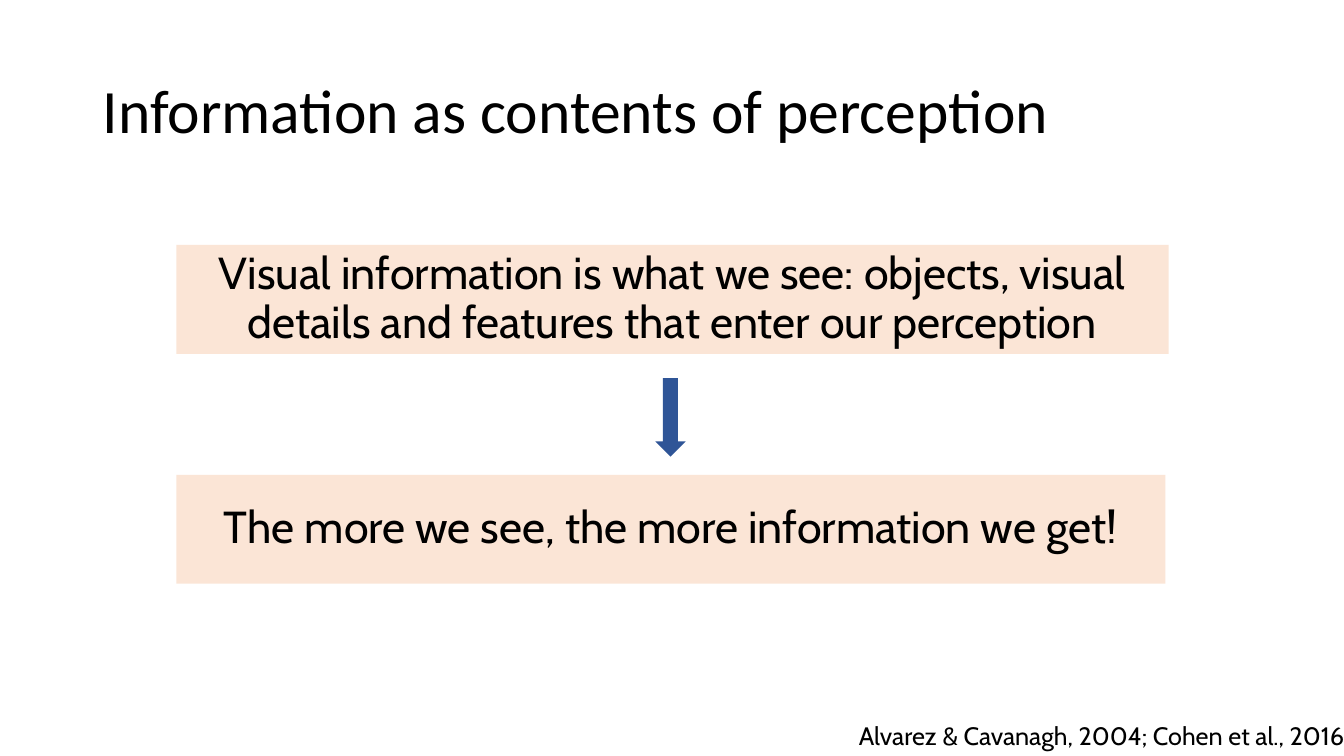
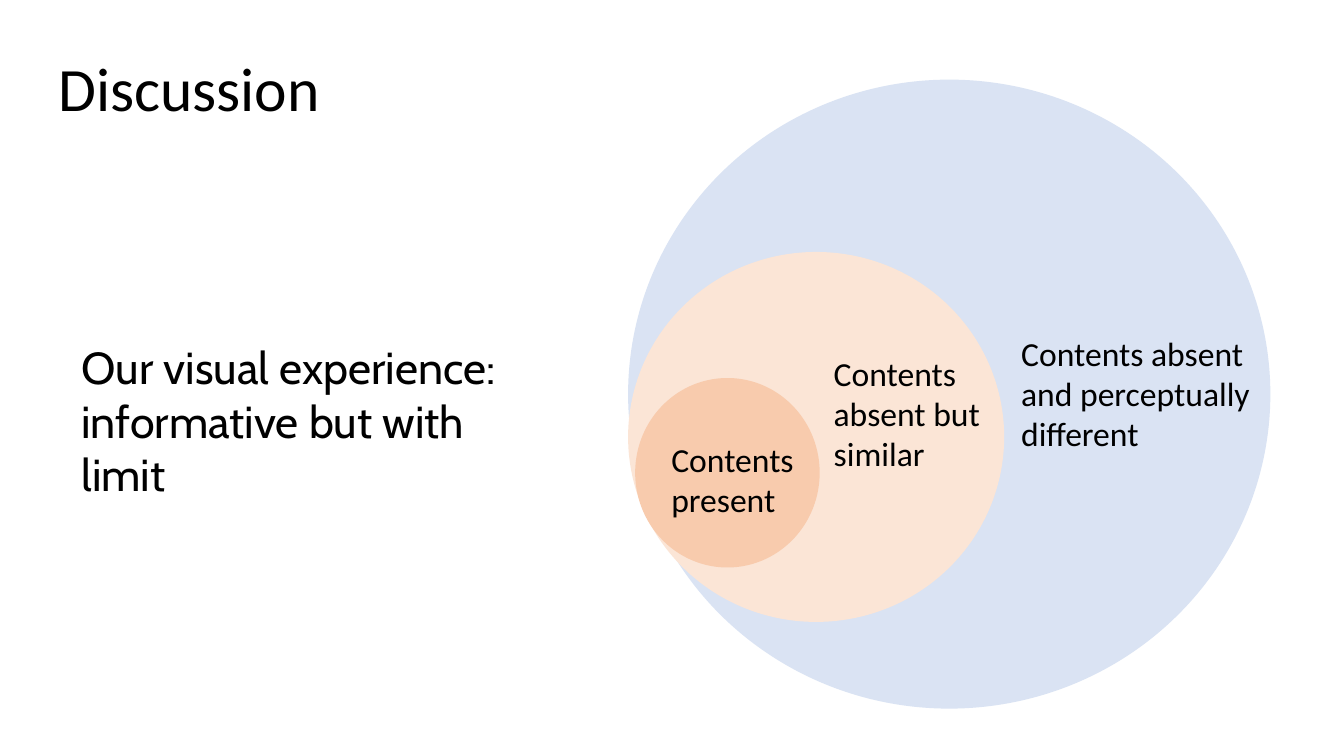
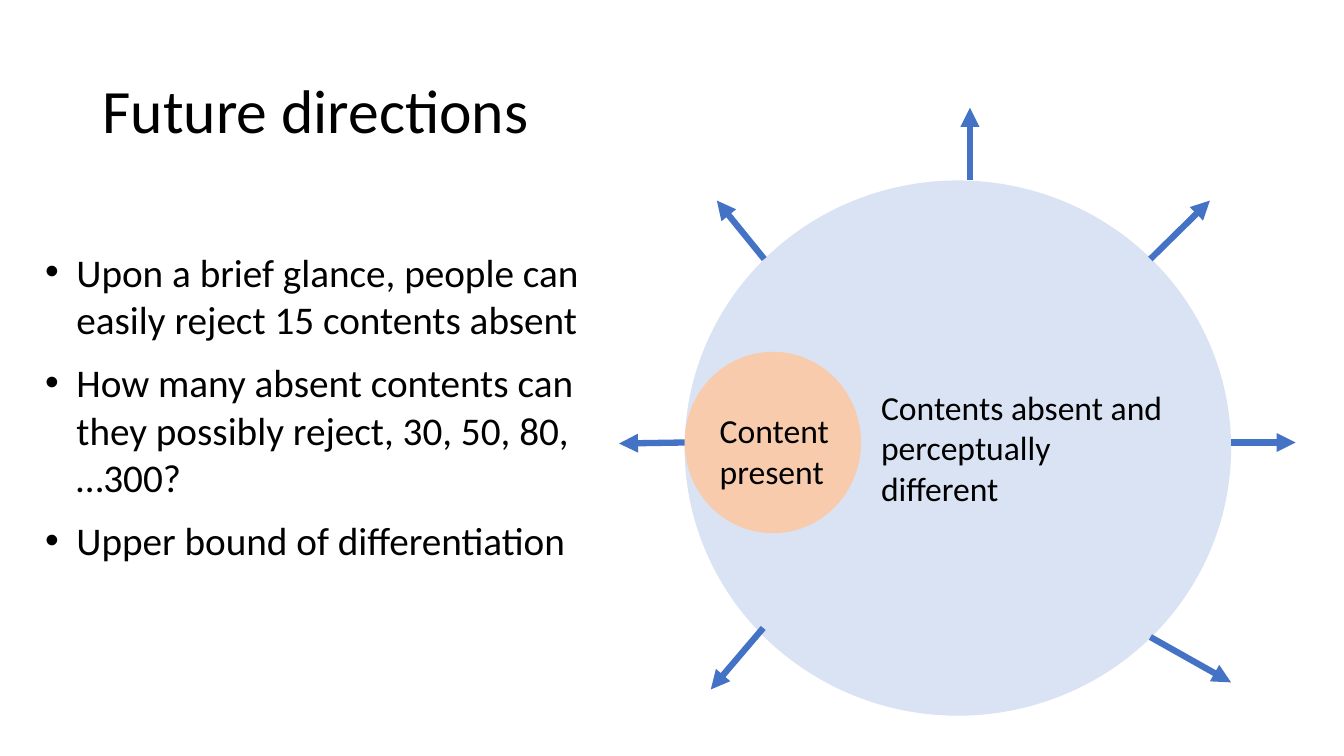
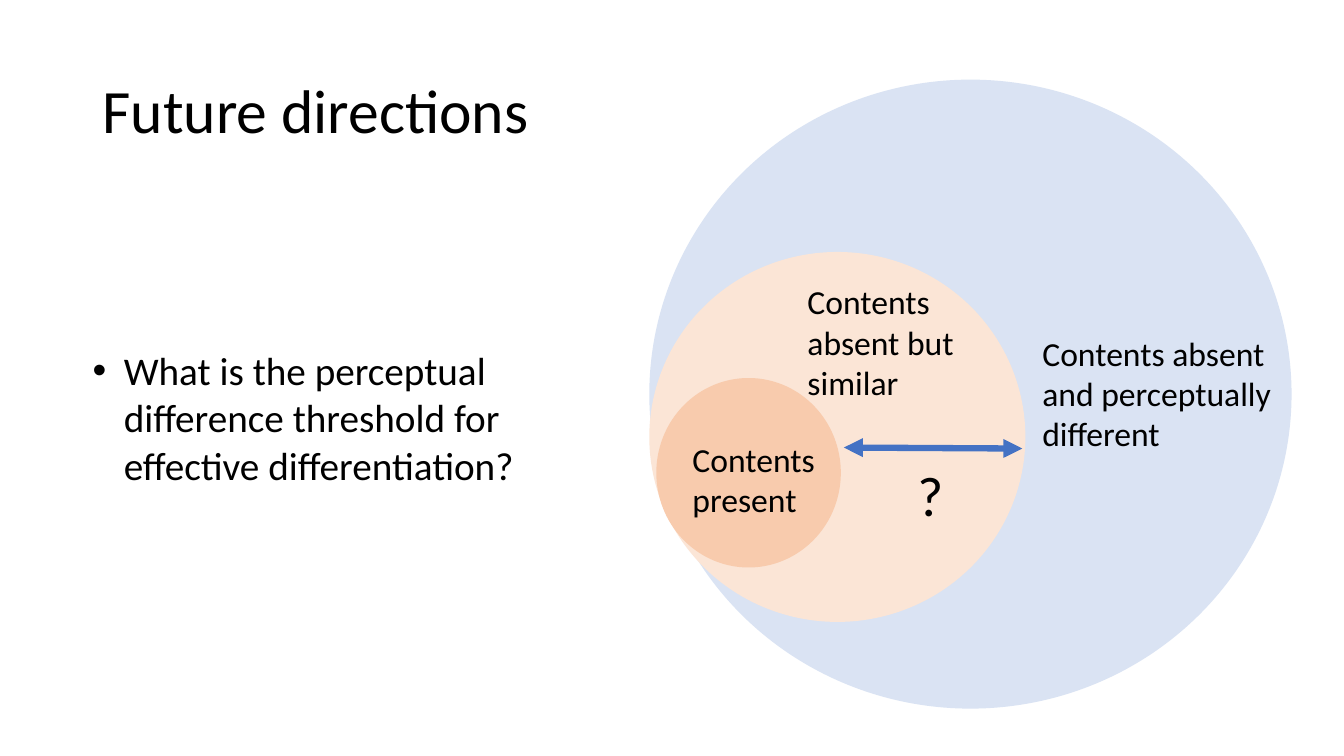
from lxml import etree
from pptx import Presentation
from pptx.dml.color import RGBColor
from pptx.enum import shapes, text
from pptx.oxml.ns import qn
from pptx.util import Inches, Pt

BLACK = RGBColor(0x00, 0x00, 0x00)
ARROW_BLUE = RGBColor(0x44, 0x72, 0xC4)
DARK_BLUE = RGBColor(0x2F, 0x55, 0x97)
PALE_BLUE = RGBColor(0xDA, 0xE3, 0xF3)
PALE_PEACH = RGBColor(0xFB, 0xE5, 0xD6)
PEACH = RGBColor(0xF8, 0xCB, 0xAD)

BODY_FONT = "Calibri"
ACCENT_FONT = "Cabin"
TITLE_AT = (0.92, 0.4, 11.5, 1.45)

PANELS = [
    ("Visual information is what we see: objects, visual details and features "
     "that enter our perception", (1.75, 2.43, 9.84, 1.08)),
    ("The more we see, the more information we get!", (1.75, 4.71, 9.81, 1.08)),
]
CITATION = "Alvarez & Cavanagh, 2004; Cohen et al., 2016"

DIFFERENT = "Contents absent and perceptually different"
SIMILAR = "Contents absent but similar"
PRESENT = "Contents present"
VENN_CIRCLES = [
    (PALE_BLUE, (6.23, 0.79, 6.37, 6.24)),
    (PALE_PEACH, (6.23, 2.5, 3.73, 3.67)),
    (PEACH, (6.3, 3.75, 1.83, 1.88)),
]
VENN_LABELS = [
    (DIFFERENT, (10.03, 3.25, 2.97, 1.31)),
    (PRESENT, (6.56, 4.3, 1.43, 0.91)),
]

GROWTH_CIRCLES = [
    (PALE_BLUE, (6.79, 1.79, 5.42, 5.31)),
    (PEACH, (6.79, 3.49, 1.75, 1.8)),
]
GROWTH_LABELS = [
    (DIFFERENT, (8.64, 3.79, 3.09, 0.77)),
    ("Content present", (7.04, 4.02, 1.36, 0.91)),
]
GROWTH_ARROWS = [
    ((9.62, 1.79), (9.62, 1.07)),
    ((11.41, 2.57), (12, 1.99)),
    ((12.21, 4.39), (12.85, 4.39)),
    ((11.41, 6.32), (12.21, 6.77)),
    ((7.58, 2.57), (7.11, 1.99)),
    ((6.79, 4.39), (6.14, 4.4)),
    ((7.57, 6.23), (7.05, 6.84)),
]
GROWTH_POINTS = [
    "Upon a brief glance, people can easily reject 15 contents absent",
    "How many absent contents can they possibly reject, 30, 50, 80, …300?",
    "Upper bound of differentiation",
]
THRESHOLD_POINTS = [
    "What is the perceptual difference threshold for effective differentiation?",
]


def inches(box):
    return [Inches(v) for v in box]


def add_run(p, content, size, font):
    r = p.add_run()
    r.text = content
    r.font.size = Pt(size)
    r.font.name = font
    r.font.color.rgb = BLACK


def add_text(s, content, box, size=24, font=BODY_FONT):
    tf = s.shapes.add_textbox(*inches(box)).text_frame
    tf.word_wrap = True
    add_run(tf.paragraphs[0], content, size, font)
    return tf


def add_filled(s, kind, box, color):
    sp = s.shapes.add_shape(kind, *inches(box))
    sp.shadow.inherit = False
    sp.fill.solid()
    sp.fill.fore_color.rgb = color
    sp.line.fill.background()
    return sp


def add_panel(s, content, box):
    tf = add_filled(s, shapes.MSO_SHAPE.RECTANGLE, box, PALE_PEACH).text_frame
    tf.word_wrap = True
    tf.vertical_anchor = text.MSO_ANCHOR.MIDDLE
    p = tf.paragraphs[0]
    p.alignment = text.PP_ALIGN.CENTER
    p.line_spacing = 0.9
    add_run(p, content, 32, ACCENT_FONT)


def add_arrow(s, start, end, ends=("tailEnd",)):
    line = s.shapes.add_connector(
        shapes.MSO_CONNECTOR.STRAIGHT, *inches(start + end))
    line.line.color.rgb = ARROW_BLUE
    line.line.width = Pt(4.5)
    ln = line.line._get_or_add_ln()
    for tag in ends:
        etree.SubElement(ln, qn("a:" + tag), type="triangle")
    etree.SubElement(line._element.spPr, qn("a:effectLst"))


def add_bullets(s, points, box):
    tf = s.shapes.add_textbox(*inches(box)).text_frame
    tf.word_wrap = True
    for i, point in enumerate(points):
        p = tf.add_paragraph() if i else tf.paragraphs[0]
        p.space_after = Pt(12)
        pPr = p._p.get_or_add_pPr()
        pPr.set("marL", str(Inches(0.31)))
        pPr.set("indent", str(-Inches(0.31)))
        etree.SubElement(pPr, qn("a:buFont"), typeface="Arial")
        etree.SubElement(pPr, qn("a:buChar"), char="•")
        add_run(p, point, 28, BODY_FONT)


def add_circles(s, circles, labels, dx=0):
    for color, (x, y, w, h) in circles:
        add_filled(s, shapes.MSO_SHAPE.OVAL, (x + dx, y, w, h), color)
    for label, (x, y, w, h) in labels:
        add_text(s, label, (x + dx, y, w, h))


def add_slide(prs, title, box=TITLE_AT):
    s = prs.slides.add_slide(prs.slide_layouts[6])
    tf = add_text(s, title, box, 44)
    tf.vertical_anchor = text.MSO_ANCHOR.MIDDLE
    tf.paragraphs[0].line_spacing = 0.9
    return s


def build_contents(prs):
    s = add_slide(prs, "Information as contents of perception")
    for content, box in PANELS:
        add_panel(s, content, box)
    add_filled(s, shapes.MSO_SHAPE.DOWN_ARROW, (6.5, 3.75, 0.3, 0.78), DARK_BLUE)
    add_text(s, CITATION, (8.42, 7.1, 5.5, 0.4), 18, ACCENT_FONT)


def build_discussion(prs):
    s = add_slide(prs, "Discussion", (0.48, 0.18, 11.5, 1.45))
    add_circles(s, VENN_CIRCLES, VENN_LABELS)
    add_text(s, SIMILAR, (8.17, 3.45, 1.72, 1.31))
    add_text(s, "Our visual experience: informative but with limit",
             (0.71, 3.32, 4.88, 1.18), 32, ACCENT_FONT)


def build_growth(prs):
    s = add_slide(prs, "Future directions")
    add_circles(s, GROWTH_CIRCLES, GROWTH_LABELS)
    for start, end in GROWTH_ARROWS:
        add_arrow(s, start, end)
    add_bullets(s, GROWTH_POINTS, (0.35, 2.41, 5.7, 3.9))


def build_threshold(prs):
    s = add_slide(prs, "Future directions")
    add_circles(s, VENN_CIRCLES, VENN_LABELS, dx=0.21)
    add_text(s, SIMILAR, (7.91, 2.74, 1.72, 1.31))
    add_arrow(s, (10.14, 4.45), (8.37, 4.44), ("headEnd", "tailEnd"))
    add_text(s, "?", (9, 4.52, 0.64, 0.77), 40)
    add_bullets(s, THRESHOLD_POINTS, (0.82, 3.39, 4.76, 1.51))


def main():
    prs = Presentation()
    prs.slide_width, prs.slide_height = Inches(13.33), Inches(7.5)
    for build in (build_contents, build_discussion, build_growth, build_threshold):
        build(prs)
    prs.save("out.pptx")


if __name__ == "__main__":
    main()
